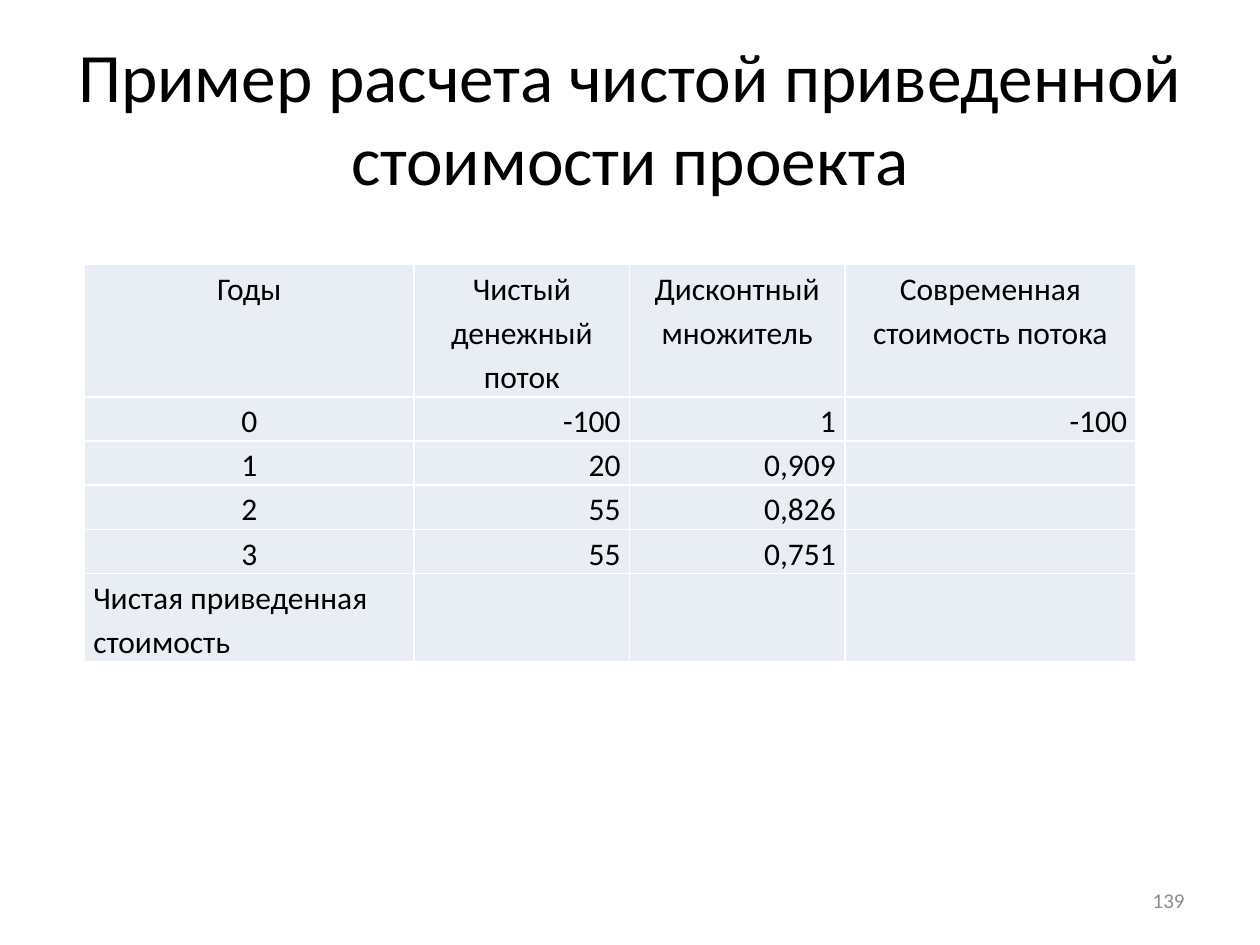
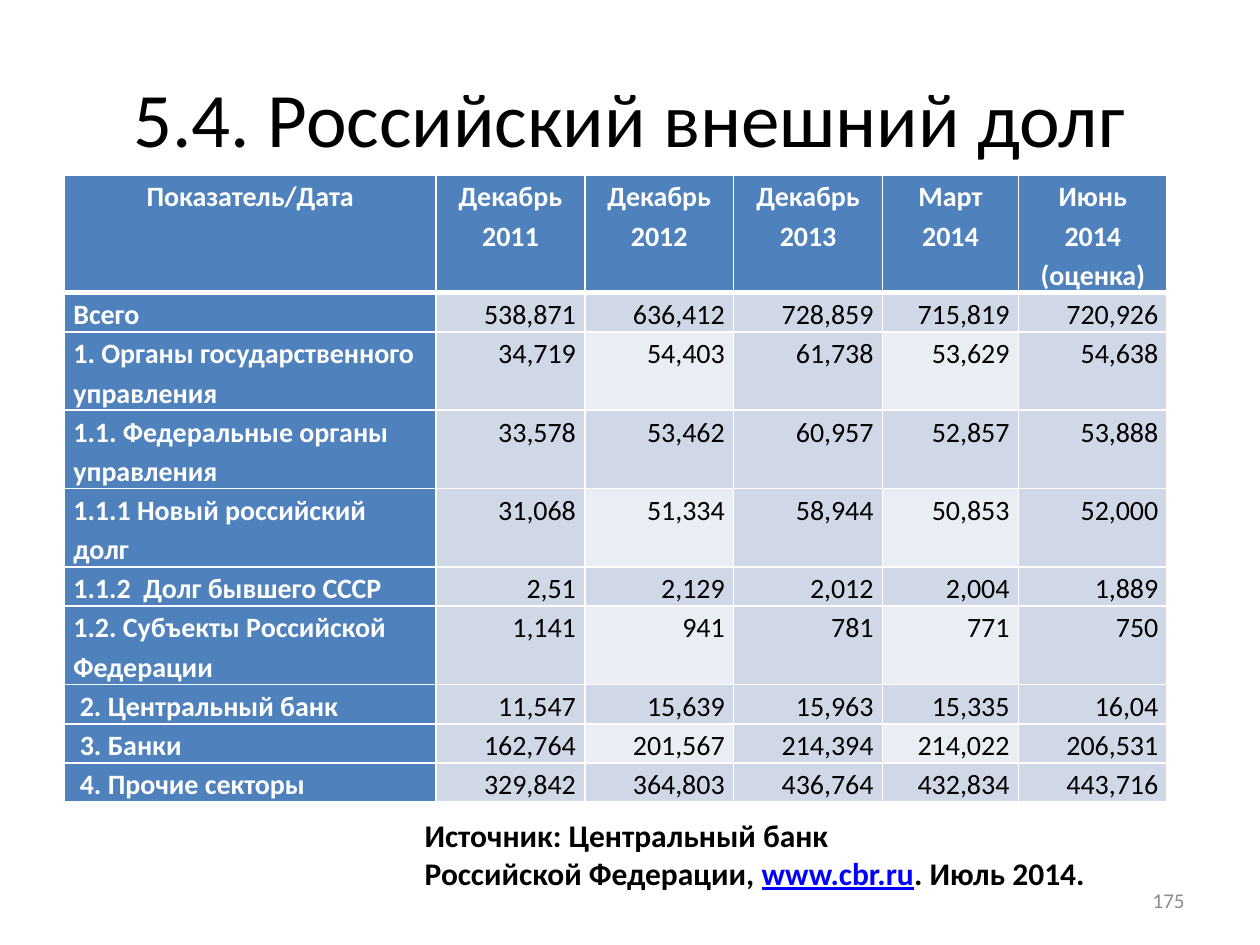
from lxml import etree
from pptx import Presentation
from pptx.dml.color import RGBColor
from pptx.enum import text as t
from pptx.oxml import ns
from pptx.util import Cm, Pt

FONT = "Calibri"
INK = {
    "text": "000000",
    "white": "FFFFFF",
    "page": "8C8C8C",
    "link": "0000FF",
    "head": "4F81BD",
    "dark": "D0D8E8",
    "pale": "E9EDF4",
}
LEFT, MID, RIGHT = t.PP_ALIGN.LEFT, t.PP_ALIGN.CENTER, t.PP_ALIGN.RIGHT

FLOWS = [
    ["Годы", "Чистый денежный поток", "Дисконтный множитель",
     "Современная стоимость потока"],
    ["0", "-100", "1", "-100"],
    ["1", "20", "0,909", ""],
    ["2", "55", "0,826", ""],
    ["3", "55", "0,751", ""],
    ["Чистая приведенная стоимость", "", "", ""],
]
DEBT = [
    ["Показатель/Дата", "Декабрь 2011", "Декабрь 2012", "Декабрь 2013",
     "Март 2014", "Июнь 2014 (оценка)"],
    ["Всего", "538,871", "636,412", "728,859", "715,819", "720,926"],
    ["1. Органы государственного управления",
     "34,719", "54,403", "61,738", "53,629", "54,638"],
    ["1.1. Федеральные органы управления",
     "33,578", "53,462", "60,957", "52,857", "53,888"],
    ["1.1.1 Новый российский долг",
     "31,068", "51,334", "58,944", "50,853", "52,000"],
    ["1.1.2  Долг бывшего СССР", "2,51", "2,129", "2,012", "2,004", "1,889"],
    ["1.2. Субъекты Российской Федерации",
     "1,141", "941", "781", "771", "750"],
    ["2. Центральный банк", "11,547", "15,639", "15,963", "15,335", "16,04"],
    ["3. Банки", "162,764", "201,567", "214,394", "214,022", "206,531"],
    ["4. Прочие секторы", "329,842", "364,803", "436,764", "432,834", "443,716"],
]


def color(name):
    return RGBColor.from_string(INK[name])


def style(para, size, ink="text", align=LEFT, bold=False):
    para.alignment = align
    font = para.font
    font.name, font.size, font.bold = FONT, Pt(size), bold
    font.color.rgb = color(ink)


def add_box(slide, left, top, width, height, anchor=t.MSO_ANCHOR.MIDDLE):
    """Add a wrapping text box and return its first paragraph."""
    box = slide.shapes.add_textbox(Cm(left), Cm(top), Cm(width), Cm(height))
    frame = box.text_frame
    frame.word_wrap = True
    frame.vertical_anchor = anchor
    return frame.paragraphs[0]


def add_page(deck, title, size, number):
    """Add a blank slide with its title and page number."""
    slide = deck.slides.add_slide(deck.slide_layouts[6])
    para = add_box(slide, 1.27, 0.76, 22.86, 3.18)
    para.text = title
    style(para, size, align=MID)
    para = add_box(slide, 18.2, 17.65, 5.93, 1.01)
    para.text = str(number)
    style(para, 12, "page", RIGHT)
    return slide


def add_edges(cell, thick):
    """Draw white cell borders, with the bottom one thick points wide."""
    props = cell._tc.get_or_add_tcPr()
    for side, width in zip("LRTB", (1, 1, 1, thick)):
        line = etree.SubElement(props, ns.qn(f"a:ln{side}"), w=str(Pt(width)))
        fill = etree.SubElement(line, ns.qn("a:solidFill"))
        etree.SubElement(fill, ns.qn("a:srgbClr"), val=INK["white"])


def fill_cell(cell, words, size, ink, fill, align, bold=False, thick=1):
    cell.margin_left = cell.margin_right = Cm(0.18)
    cell.margin_top = cell.margin_bottom = 0
    add_edges(cell, thick)
    cell.fill.solid()
    cell.fill.fore_color.rgb = color(fill)
    para = cell.text_frame.paragraphs[0]
    para.text = words
    para.line_spacing = 1.15
    style(para, size, ink, align, bold)


def add_grid(slide, left, top, widths, lines, pitch):
    """Add a bare table; lines gives the text lines in each row."""
    shape = slide.shapes.add_table(
        len(lines), len(widths), Cm(left), Cm(top),
        Cm(sum(widths)), Cm(sum(lines) * pitch))
    grid = shape.table
    grid.first_row = grid.horz_banding = False
    for col, width in zip(grid.columns, widths):
        col.width = Cm(width)
    for row, count in zip(grid.rows, lines):
        row.height = Cm(count * pitch)
    return grid


def add_flows(slide):
    grid = add_grid(slide, 1.7, 5.33, [6.65, 4.34, 4.34, 5.87],
                    [3, 1, 1, 1, 1, 2], 0.89)
    last = len(FLOWS) - 1
    for r, row in enumerate(FLOWS):
        for c, words in enumerate(row):
            if r == 0 or c == 0 and r < last:
                align = MID
            else:
                align = RIGHT if c else LEFT
            fill_cell(grid.cell(r, c), words, 18, "text", "pale", align)


def add_debt(slide):
    grid = add_grid(slide, 1.3, 3.53, [7.49, 3, 3, 3, 2.74, 3],
                    [3, 1, 2, 2, 2, 1, 2, 1, 1, 1], 0.79)
    for r, row in enumerate(DEBT):
        for c, words in enumerate(row):
            cell = grid.cell(r, c)
            if r == 0:
                fill_cell(cell, words, 16, "white", "head", MID, True, 3)
            elif c == 0:
                fill_cell(cell, words, 16, "white", "head", LEFT, True)
            else:
                pale = r % 2 == 0 and c % 2 == 0
                fill_cell(cell, words, 16, "text",
                          "pale" if pale else "dark", RIGHT)
    for r in range(7, len(DEBT)):
        grid.cell(r, 0).margin_left = Cm(0.31)


def add_source(slide):
    para = add_box(slide, 8.31, 16.33, 13.89, 1.8, t.MSO_ANCHOR.TOP)
    para.add_run().text = "Источник: Центральный банк"
    para.add_line_break()
    para.add_run().text = "Российской Федерации, "
    site = para.add_run()
    site.text = "www.cbr.ru"
    site.font.underline = True
    site.font.color.rgb = color("link")
    para.add_run().text = ". Июль 2014."
    style(para, 18, bold=True)


def main():
    deck = Presentation()
    deck.slide_width, deck.slide_height = Cm(25.4), Cm(19.05)
    add_flows(add_page(
        deck, "Пример расчета чистой приведенной стоимости проекта", 39.6, 139))
    slide = add_page(deck, "5.4. Российский внешний долг", 44, 175)
    add_debt(slide)
    add_source(slide)
    deck.save("out.pptx")


if __name__ == "__main__":
    main()
